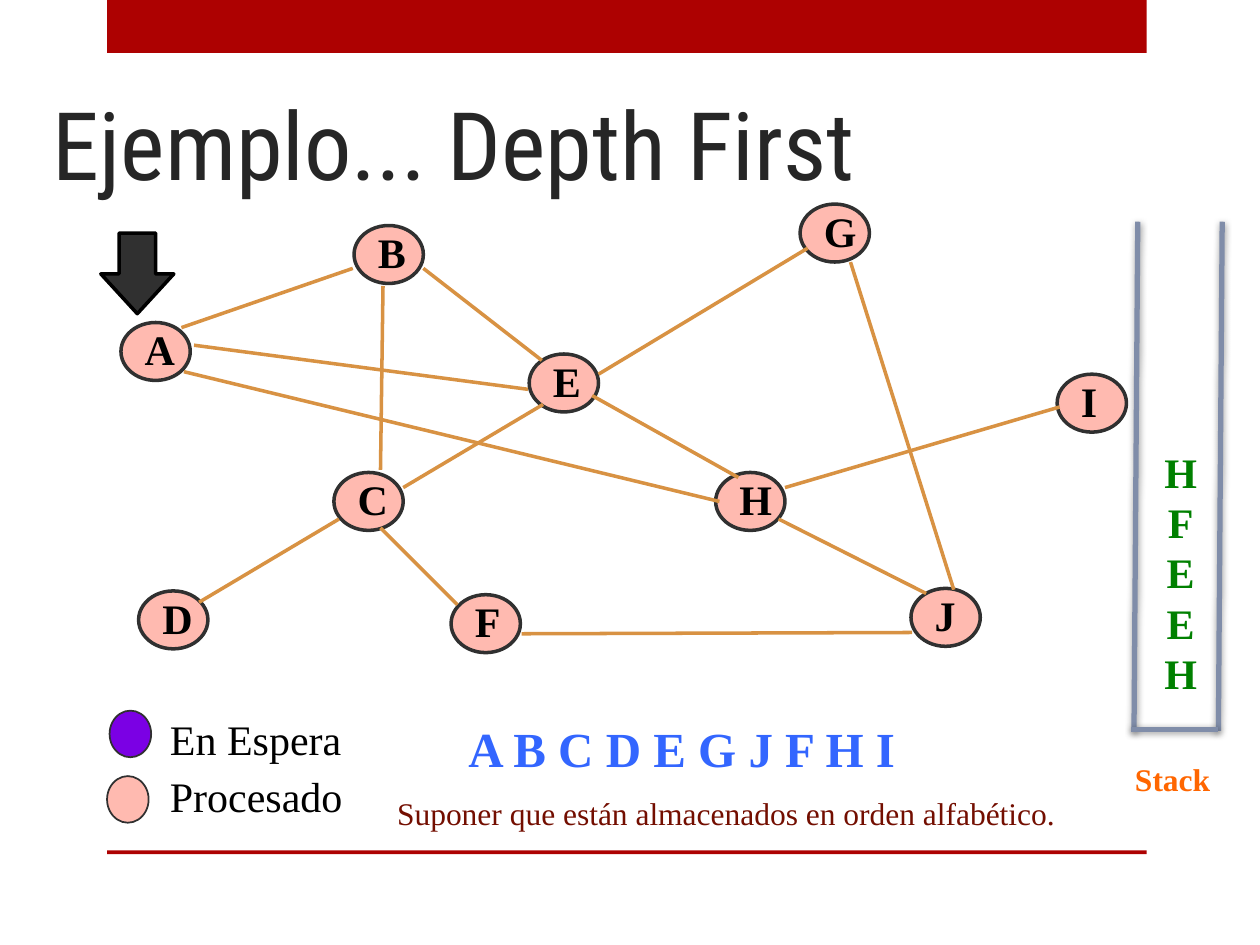
from lxml.etree import SubElement
from pptx import Presentation
from pptx.dml.color import RGBColor
from pptx.enum.shapes import MSO_CONNECTOR, MSO_SHAPE
from pptx.enum.text import MSO_ANCHOR, PP_ALIGN
from pptx.oxml import parse_xml
from pptx.oxml.ns import nsdecls, qn
from pptx.util import Inches, Pt

color = RGBColor.from_string
SERIF = "Times New Roman"
STACK_SHADOW = (
    f'<a:effectLst {nsdecls("a")}><a:outerShdw blurRad="50800" dist="12700" dir="5280000">'
    '<a:srgbClr val="000000"><a:alpha val="40000"/></a:srgbClr>'
    '</a:outerShdw></a:effectLst>'
)

presentation = Presentation()
presentation.slide_width = Inches(10)
presentation.slide_height = Inches(7.5)
slide = presentation.slides.add_slide(presentation.slide_layouts[6])


def add_figure(kind, left, top, width, height, fill, line=None, line_width=0):
    shape = slide.shapes.add_shape(kind, Inches(left), Inches(top), Inches(width), Inches(height))
    shape.shadow.inherit = False
    shape.fill.solid()
    shape.fill.fore_color.rgb = color(fill)
    if line:
        shape.line.color.rgb = color(line)
        shape.line.width = Pt(line_width)
    else:
        shape.line.fill.background()
    return shape


def add_text(lines, left, top, width, height, size, ink="000000", bold=False,
             font=SERIF, align=PP_ALIGN.LEFT, wrap=True, spacing=None):
    box = slide.shapes.add_textbox(Inches(left), Inches(top), Inches(width), Inches(height))
    frame = box.text_frame
    frame.word_wrap = wrap
    frame.text = "\n".join(lines)
    for paragraph in frame.paragraphs:
        paragraph.alignment = align
        paragraph.line_spacing = spacing
        paragraph.font.name = font
        paragraph.font.size = Pt(size)
        paragraph.font.bold = bold
        paragraph.font.color.rgb = color(ink)
    return frame


add_figure(MSO_SHAPE.RECTANGLE, 0.85, 0, 8.25, 0.42, "AD0101")
add_figure(MSO_SHAPE.RECTANGLE, 0.85, 6.75, 8.25, 0.03, "AD0101")
title = add_text(["Ejemplo... Depth First"], 0.32, 0.33, 9.26, 1.25, 54, "262626",
                 font="Roboto Condensed")
title.vertical_anchor = MSO_ANCHOR.BOTTOM
title.margin_bottom = 0

nodes = [
    ("A", 0.96, 2.56, 0.44), ("B", 2.81, 1.79, 0.43), ("G", 6.35, 1.62, 0.47),
    ("E", 4.2, 2.81, 0.43), ("C", 2.65, 3.75, 0.45), ("D", 1.1, 4.69, 0.45),
    ("F", 3.58, 4.72, 0.4), ("J", 7.23, 4.67, 0.37), ("H", 5.68, 3.75, 0.47),
    ("I", 8.39, 2.97, 0.33),
]
for name, left, top, label_width in nodes:
    add_figure(MSO_SHAPE.OVAL, left, top, 0.55, 0.46, "FFBAB0", "303030", 2)
    add_text([name], left + 0.09, top - 0.04, label_width, 0.51, 24, bold=True, wrap=False)

edges = [
    (1.54, 2.74, 4.19, 3.09), (1.46, 2.95, 5.71, 3.98), (6.18, 4.12, 7.35, 4.71),
    (4.7, 3.14, 5.86, 3.79), (6.23, 3.87, 8.41, 3.23), (7.57, 4.68, 6.75, 2.08),
    (4.75, 2.97, 6.41, 1.97), (3.36, 2.13, 4.3, 2.86), (3.04, 2.27, 3.02, 3.73),
    (1.58, 4.78, 2.69, 4.12), (3.63, 4.8, 3.02, 4.19), (4.14, 5.03, 7.24, 5.02),
    (3.2, 3.87, 4.31, 3.21), (1.44, 2.6, 2.8, 2.13),
]
stack_walls = [(9.03, 1.76, 9, 5.8), (9.7, 1.76, 9.67, 5.8), (8.98, 5.79, 9.67, 5.79)]
for lines, ink, width in ((edges, "D89243", 2), (stack_walls, "808DA9", 3)):
    for ends in lines:
        connector = slide.shapes.add_connector(MSO_CONNECTOR.STRAIGHT, *map(Inches, ends))
        connector.line.color.rgb = color(ink)
        connector.line.width = Pt(width)
        properties = connector._element.spPr
        if lines is stack_walls:
            properties.append(parse_xml(STACK_SHADOW))
        else:
            SubElement(properties, qn("a:effectLst"))

add_figure(MSO_SHAPE.OVAL, 0.87, 5.64, 0.33, 0.37, "7B00E4", "303030", 1)
add_figure(MSO_SHAPE.OVAL, 0.85, 6.16, 0.33, 0.37, "FFBAB0", "303030", 1)
add_text(["En Espera", "Procesado"], 1.25, 5.55, 1.59, 1.02, 24, wrap=False, spacing=1.15)

arrow = add_figure(MSO_SHAPE.DOWN_ARROW, 0.8, 1.85, 0.58, 0.64, "303030", "000000", 2)
arrow.adjustments[0] = 0.5
arrow.adjustments[1] = 0.545

add_text(["Suponer que están almacenados en orden alfabético."], 2.73, 6.25, 6.07, 0.4, 18,
         "730E00", align=PP_ALIGN.CENTER)
stack = add_text("HFEEH", 9.02, 1.85, 0.7, 3.74, 24, "008000", bold=True, align=PP_ALIGN.CENTER)
stack.vertical_anchor = MSO_ANCHOR.BOTTOM
add_text(["Stack"], 8.91, 5.98, 0.83, 0.4, 18, "FF6600", bold=True)
add_text(["A B C D E G J F H I"], 3.62, 5.65, 3.73, 0.57, 28, "3366FF", bold=True)

presentation.save("out.pptx")
